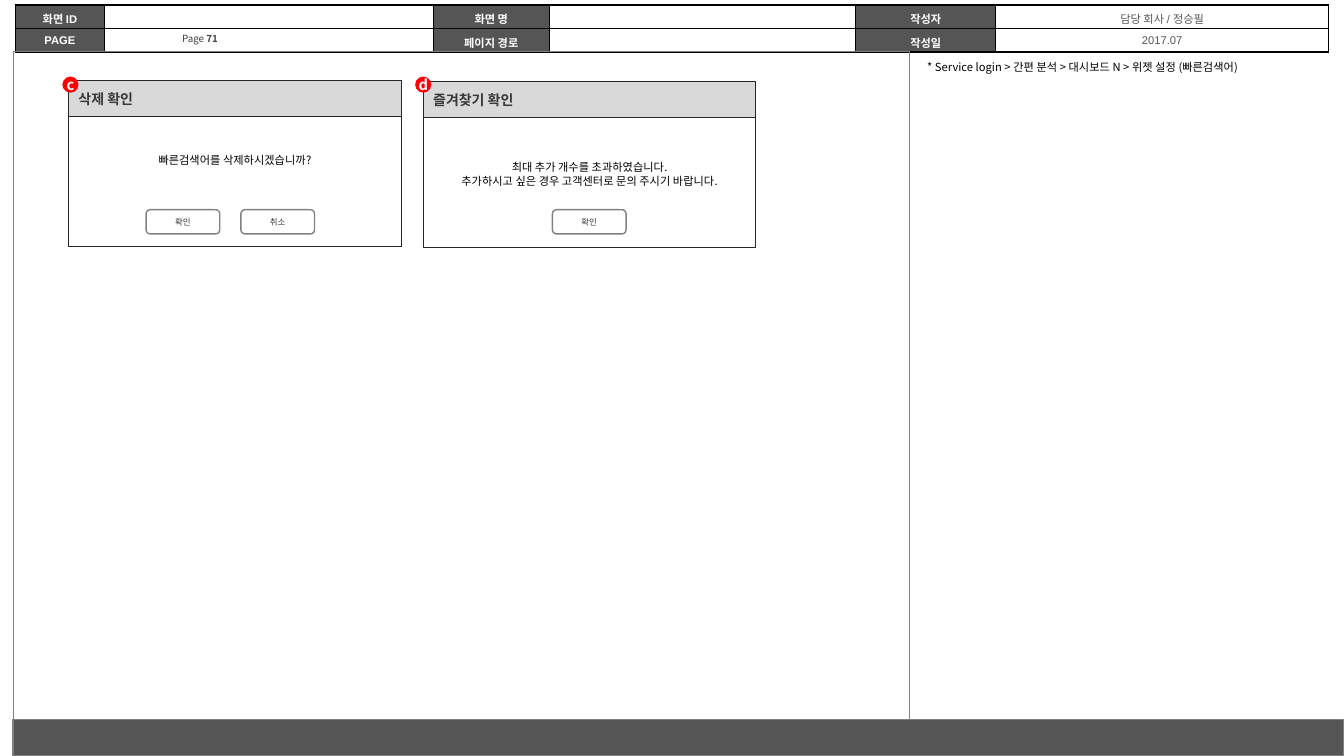
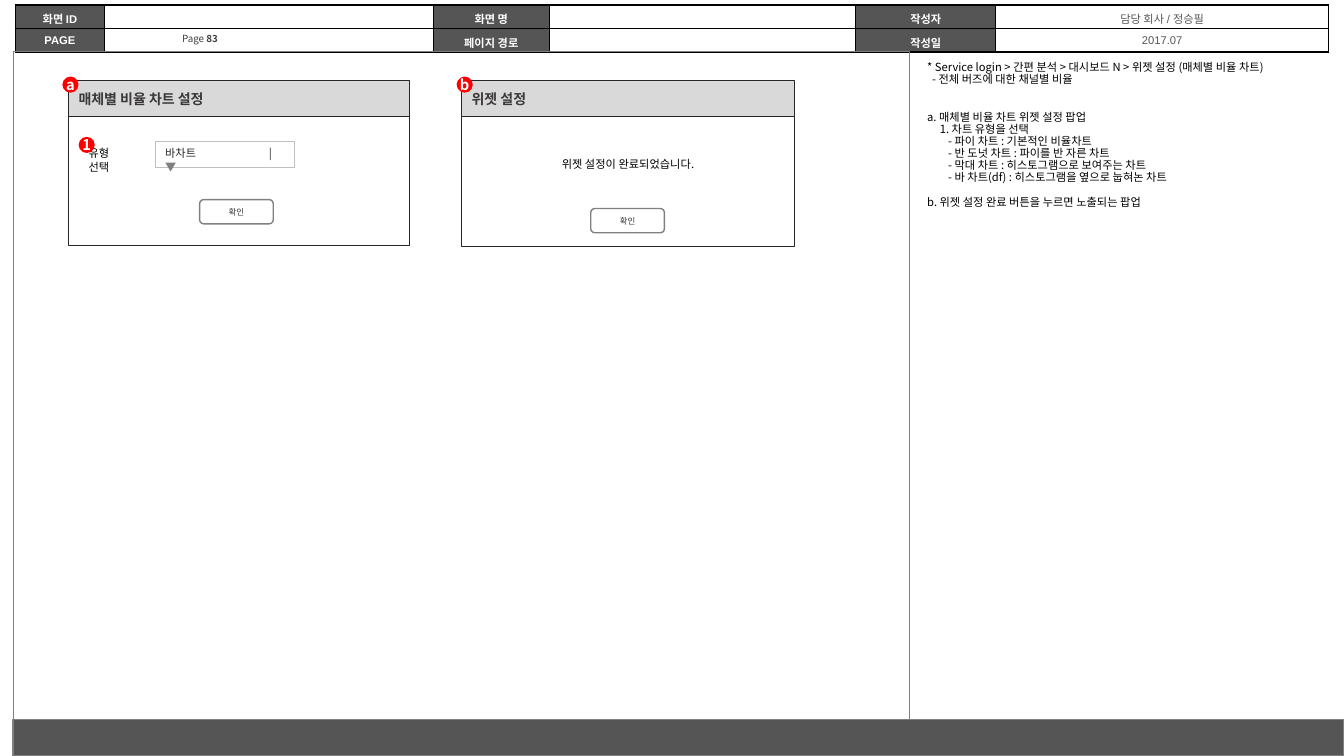
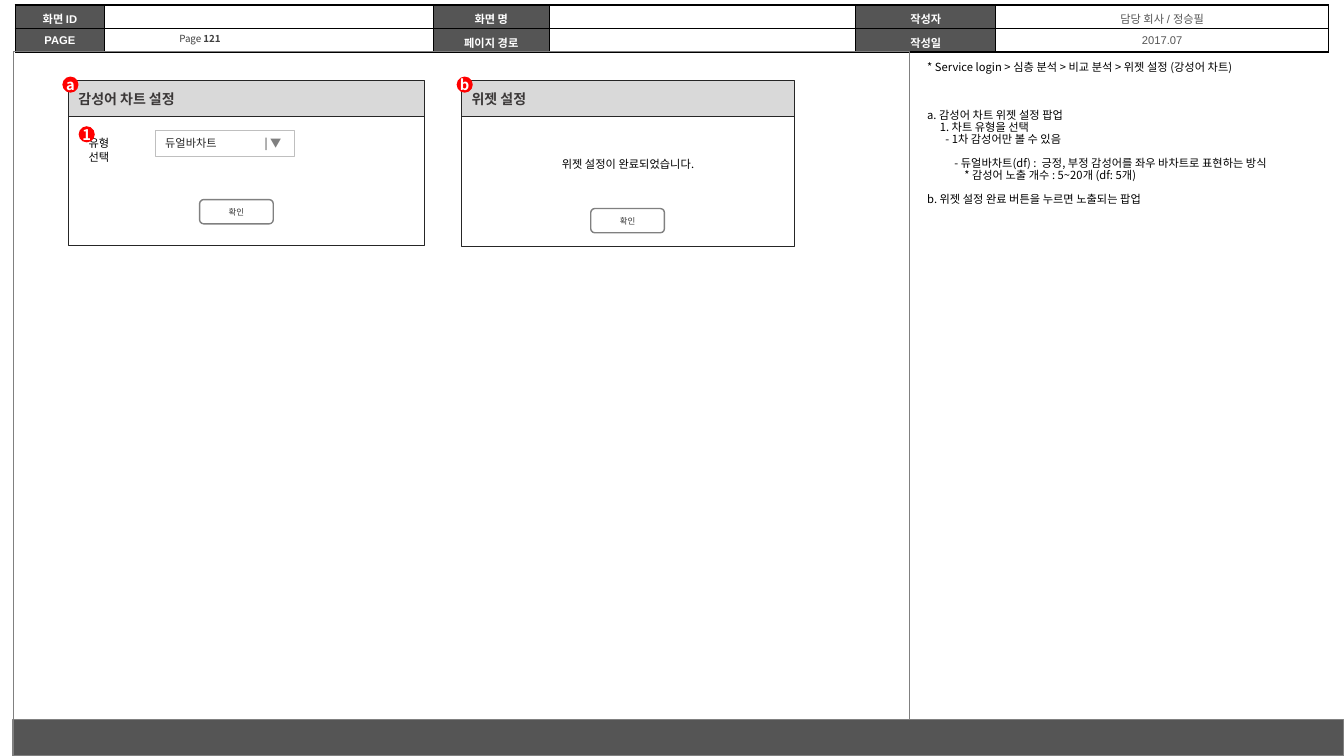
from lxml import etree
from pptx import Presentation
from pptx.dml.color import RGBColor
from pptx.enum.shapes import MSO_SHAPE
from pptx.enum.text import MSO_ANCHOR, PP_ALIGN
from pptx.oxml.ns import qn
from pptx.util import Pt

RECT, ROUND, OVAL = MSO_SHAPE.RECTANGLE, MSO_SHAPE.ROUNDED_RECTANGLE, MSO_SHAPE.OVAL
TOP, MID = MSO_ANCHOR.TOP, MSO_ANCHOR.MIDDLE
LEFT, MIDST = PP_ALIGN.LEFT, PP_ALIGN.CENTER

WHITE = RGBColor(0xFF, 0xFF, 0xFF)
BLACK = RGBColor(0, 0, 0)
DARK = RGBColor(0x55, 0x55, 0x55)
GREY = RGBColor(0x80, 0x80, 0x80)
PALE = RGBColor(0xD9, 0xD9, 0xD9)
SILVER = RGBColor(0xBF, 0xBF, 0xBF)
INK = RGBColor(0x26, 0x26, 0x26)
HEAD = RGBColor(0x3B, 0x38, 0x38)
LABEL = RGBColor(0x37, 0x37, 0x37)
PAGE = RGBColor(0x40, 0x40, 0x40)
RED = RGBColor(0xFF, 0, 0)

SANS, ARIAL = "Noto Sans CJK KR", "Arial"
COLS = (64.1, 234.7, 82.8, 218.9, 100.1, 237.6)
ROW = 16.8
GRID = (
    ("화면 ID", "", "화면 명", "", "작성자", "담당 회사 / 정승필"),
    ("PAGE", "", "페이지 경로", "", "작성일", "2017.07"),
)
BAR, BTN_W, BTN_H, DOT = 25.9, 52.6, 17.3, 11.5
LINE = 8.6

DONE = dict(
    mark="b", dot=326.2, title="위젯 설정", at=(329.8, 57.6), size=(237.6, 92.9),
    text=["위젯 설정이 완료되었습니다."], down=51.1, buttons=[("확인", 92.2, 91.4)],
)

SLIDES = [
    dict(
        page="71",
        notes=[(0, 0, "* Service login > 간편 분석 > 대시보드 N > 위젯 설정 (빠른검색어)")],
        popups=[
            dict(mark="c", dot=44.6, title="삭제 확인", at=(49, 57.6), size=(237.6, 92.9),
                 text=["빠른검색어를 삭제하시겠습니까?"], down=48.2,
                 buttons=[("확인", 55.4, 92.2), ("취소", 123.1, 92.2)]),
            dict(mark="d", dot=296.6, title="즐겨찾기 확인", at=(302.4, 58.3), size=(237.6, 92.9),
                 text=["최대 추가 개수를 초과하였습니다.",
                       "추가하시고 싶은 경우 고객센터로 문의 주시기 바랍니다."],
                 down=51.9, buttons=[("확인", 92.2, 91.5)]),
        ],
    ),
    dict(
        page="83",
        notes=[
            (0, 0, "* Service login > 간편 분석 > 대시보드 N > 위젯 설정 (매체별 비율 차트)"),
            (3.6, 0, "- 전체 버즈에 대한 채널별 비율"),
            (0, 18.6, "a. 매체별 비율 차트 위젯 설정 팝업"),
            (9, 0, "1. 차트 유형을 선택"),
            (15, 0, "- 파이 차트 : 기본적인 비율차트"),
            (15, 0, "- 반 도넛 차트 : 파이를 반 자른 차트"),
            (15, 0, "- 막대 차트 : 히스토그램으로 보여주는 차트"),
            (15, 0, "- 바 차트(df) : 히스토그램을 옆으로 눕혀논 차트"),
            (0, 9.2, "b. 위젯 설정 완료 버튼을 누르면 노출되는 팝업"),
        ],
        popups=[
            dict(mark="a", dot=44.6, title="매체별 비율 차트 설정", at=(49, 57.6),
                 size=(243.4, 92.2), buttons=[("확인", 93.6, 85)]),
            DONE,
        ],
        pick=dict(top=100.8, tab=74, lines=[["바차트\t|"], ["▼"]]),
    ),
    dict(
        page="121",
        notes=[
            (0, 0, "* Service login > 심층 분석 > 비교 분석 > 위젯 설정 (강성어 차트)"),
            (0, 25.7, "a. 감성어 차트 위젯 설정 팝업"),
            (9, 0, "1. 차트 유형을 선택"),
            (13, 0, "- 1차 감성어만 볼 수 있음"),
            (19.5, LINE, "- 듀얼바차트(df) :  긍정, 부정 감성어를 좌우 바차트로 표현하는 방식"),
            (26.5, 0, "* 감성어 노출 개수 : 5~20개 (df: 5개)"),
            (0, LINE, "b. 위젯 설정 완료 버튼을 누르면 노출되는 팝업"),
        ],
        popups=[
            dict(mark="a", dot=44.6, title="감성어 차트 설정", at=(49, 57.6),
                 size=(254.2, 92.2), buttons=[("확인", 93.6, 85)]),
            DONE,
        ],
        pick=dict(top=93.2, tab=71, lines=[["듀얼바차트\t| ", "▼"]]),
    ),
]


def style(para, size, color, bold=False, name=SANS, align=LEFT, lead=None):
    para.alignment = align
    if lead:
        para.line_spacing = Pt(lead)
    font = para.font
    font.size, font.bold, font.name = Pt(size), bold, name
    font.color.rgb = color
    east = etree.SubElement(font._element, qn("a:ea"))
    east.set("typeface", SANS)


def setup(frame, anchor, sides=7.2, ends=3.6, wrap=True):
    frame.word_wrap, frame.vertical_anchor = wrap, anchor
    frame.margin_left = frame.margin_right = Pt(sides)
    frame.margin_top = frame.margin_bottom = Pt(ends)


def paras(frame, count):
    return [frame.paragraphs[0]] + [frame.add_paragraph() for _ in range(count - 1)]


def label(slide, x, y, w, h, lines, size, color, **look):
    frame = slide.shapes.add_textbox(Pt(x), Pt(y), Pt(w), Pt(h)).text_frame
    setup(frame, TOP)
    for para, text in zip(paras(frame, len(lines)), lines):
        para.text = text
        style(para, size, color, **look)


def shape(slide, kind, x, y, w, h, fill=None, line=None, width=0.75):
    item = slide.shapes.add_shape(kind, Pt(x), Pt(y), Pt(w), Pt(h))
    item.shadow.inherit = False
    if fill is None:
        item.fill.background()
    else:
        item.fill.solid()
        item.fill.fore_color.rgb = fill
    if line is None:
        item.line.fill.background()
    else:
        item.line.color.rgb = line
        item.line.width = Pt(width)
    return item


def caption(item, text, size, color, bold=False, align=MIDST, sides=0):
    setup(item.text_frame, MID, sides, 0, wrap=align == LEFT)
    para = item.text_frame.paragraphs[0]
    para.text = text
    style(para, size, color, bold, align=align)


def border(cell):
    props = cell._tc.get_or_add_tcPr()
    for side in ("lnL", "lnR", "lnT", "lnB"):
        edge = etree.SubElement(props, qn("a:" + side), w=str(Pt(1)))
        paint = etree.SubElement(edge, qn("a:solidFill"))
        etree.SubElement(paint, qn("a:srgbClr"), val=str(BLACK))


def header(slide):
    table = slide.shapes.add_table(len(GRID), len(COLS), Pt(10.8), Pt(3.6),
                                   Pt(sum(COLS)), Pt(ROW * len(GRID))).table
    for col, width in zip(table.columns, COLS):
        col.width = Pt(width)
    for r, row in enumerate(GRID):
        table.rows[r].height = Pt(ROW)
        for c, text in enumerate(row):
            cell = table.cell(r, c)
            border(cell)
            key = c % 2 == 0
            if key:
                cell.fill.solid()
                cell.fill.fore_color.rgb = DARK
            else:
                cell.fill.background()
            cell.vertical_anchor = MID
            cell.margin_top = Pt(0 if text.isascii() else 3)
            cell.margin_bottom = 0
            para = cell.text_frame.paragraphs[0]
            if text:
                para.text = text
            else:
                para._p.get_or_add_endParaRPr().set("sz", "800")
            style(para, 8, WHITE if key else DARK, key, ARIAL, MIDST)


def frame_page(slide, page):
    header(slide)
    shape(slide, RECT, 9.4, 36.9, 640.1, 476.9, line=GREY)
    shape(slide, RECT, 9.4, 514, 950.4, 26, DARK, GREY, 1)
    box = slide.shapes.add_textbox(Pt(91.4), Pt(18.7), Pt(103), Pt(18)).text_frame
    setup(box, MID, ends=2.9)
    para = box.paragraphs[0]
    para.add_run().text = "Page "
    number = para.add_run()
    number.text = page
    style(para, 7, PAGE, align=MIDST)
    number.font.bold = True


def notes(slide, rows):
    box = slide.shapes.add_textbox(Pt(655.2), Pt(40.4), Pt(293.8), Pt(465)).text_frame
    setup(box, TOP)
    for para, (indent, gap, text) in zip(paras(box, len(rows)), rows):
        para.text = text
        para._p.get_or_add_pPr().set("marL", str(Pt(indent)))
        if gap:
            para.space_before = Pt(gap)
        style(para, 8, BLACK, lead=LINE)


def badge(slide, x, y, text):
    caption(shape(slide, OVAL, x, y, DOT, DOT, RED), text, 10.5, WHITE, True)


def popup(slide, mark, dot, title, at, size, buttons, text=(), down=0):
    x, y = at
    w, h = size
    bar = shape(slide, RECT, x, y, w, BAR, PALE, INK)
    caption(bar, title, 10, HEAD, True, LEFT, 7.2)
    shape(slide, RECT, x, y + BAR, w, h, line=INK)
    if text:
        label(slide, x, y + down, w, 17, text, 8, BLACK, align=MIDST, lead=10)
    for name, dx, dy in buttons:
        button = shape(slide, ROUND, x + dx, y + dy, BTN_W, BTN_H, WHITE, GREY, 1)
        caption(button, name, 6, LABEL)
    badge(slide, dot, 54.7, mark)


def picker(slide, top, tab, lines):
    label(slide, 56.2, top, 40, 27, ["유형", "선택"], 8, BLACK, lead=10)
    field = shape(slide, RECT, 110.9, top, 99.4, 18.7, WHITE, SILVER).text_frame
    setup(field, TOP)
    for para, parts in zip(paras(field, len(lines)), lines):
        stops = etree.SubElement(para._p.get_or_add_pPr(), qn("a:tabLst"))
        etree.SubElement(stops, qn("a:tab"), pos=str(Pt(tab)), algn="l")
        style(para, 8, INK, lead=10)
        for part in parts:
            run = para.add_run()
            run.text = part
            if part == "▼":
                run.font.color.rgb = GREY
    badge(slide, 56.2, top - 3, "1")


def main():
    deck = Presentation()
    deck.slide_width, deck.slide_height = Pt(960), Pt(540)
    for data in SLIDES:
        slide = deck.slides.add_slide(deck.slide_layouts[6])
        frame_page(slide, data["page"])
        notes(slide, data["notes"])
        for item in data["popups"]:
            popup(slide, **item)
        if "pick" in data:
            picker(slide, **data["pick"])
    deck.save("out.pptx")


if __name__ == "__main__":
    main()
